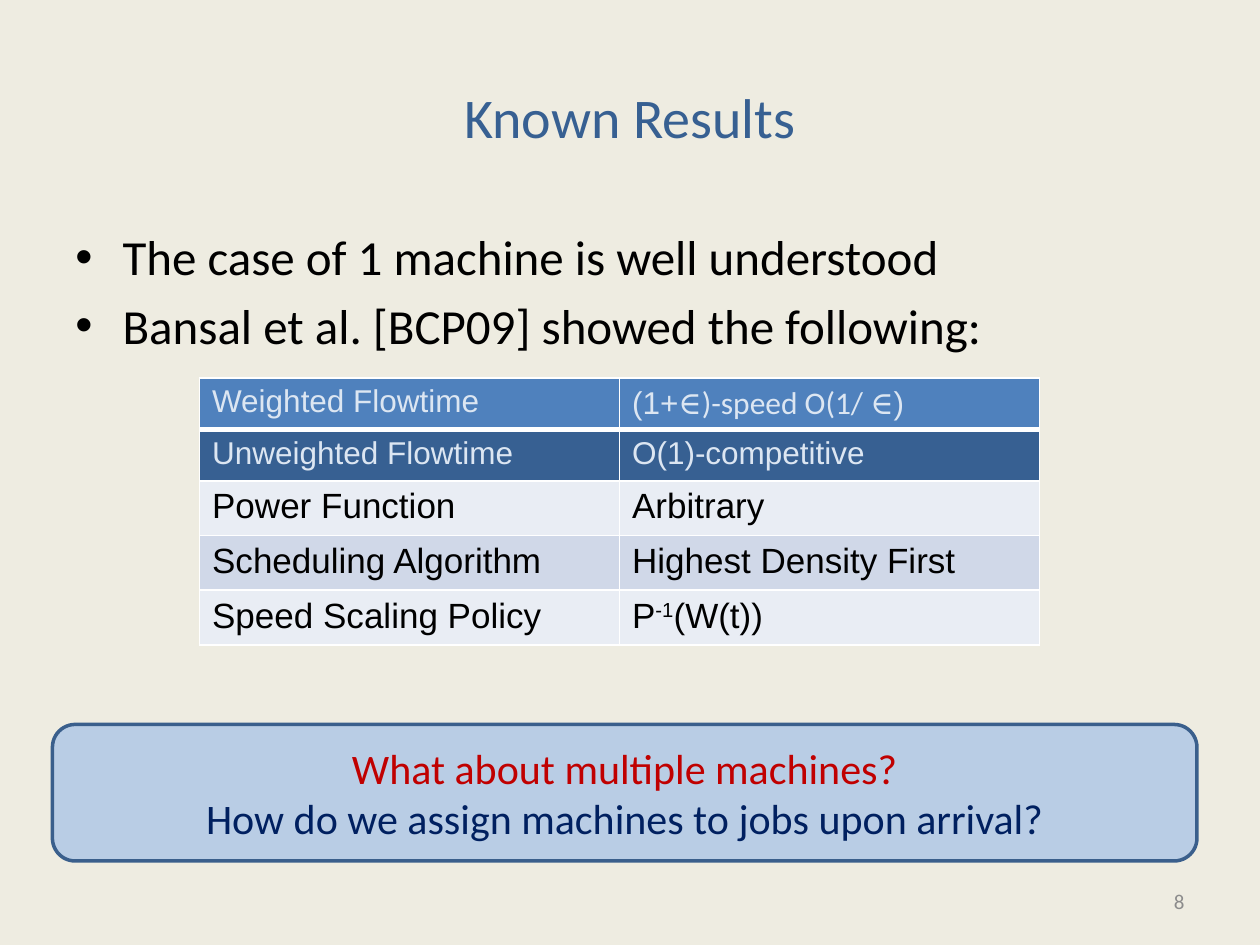
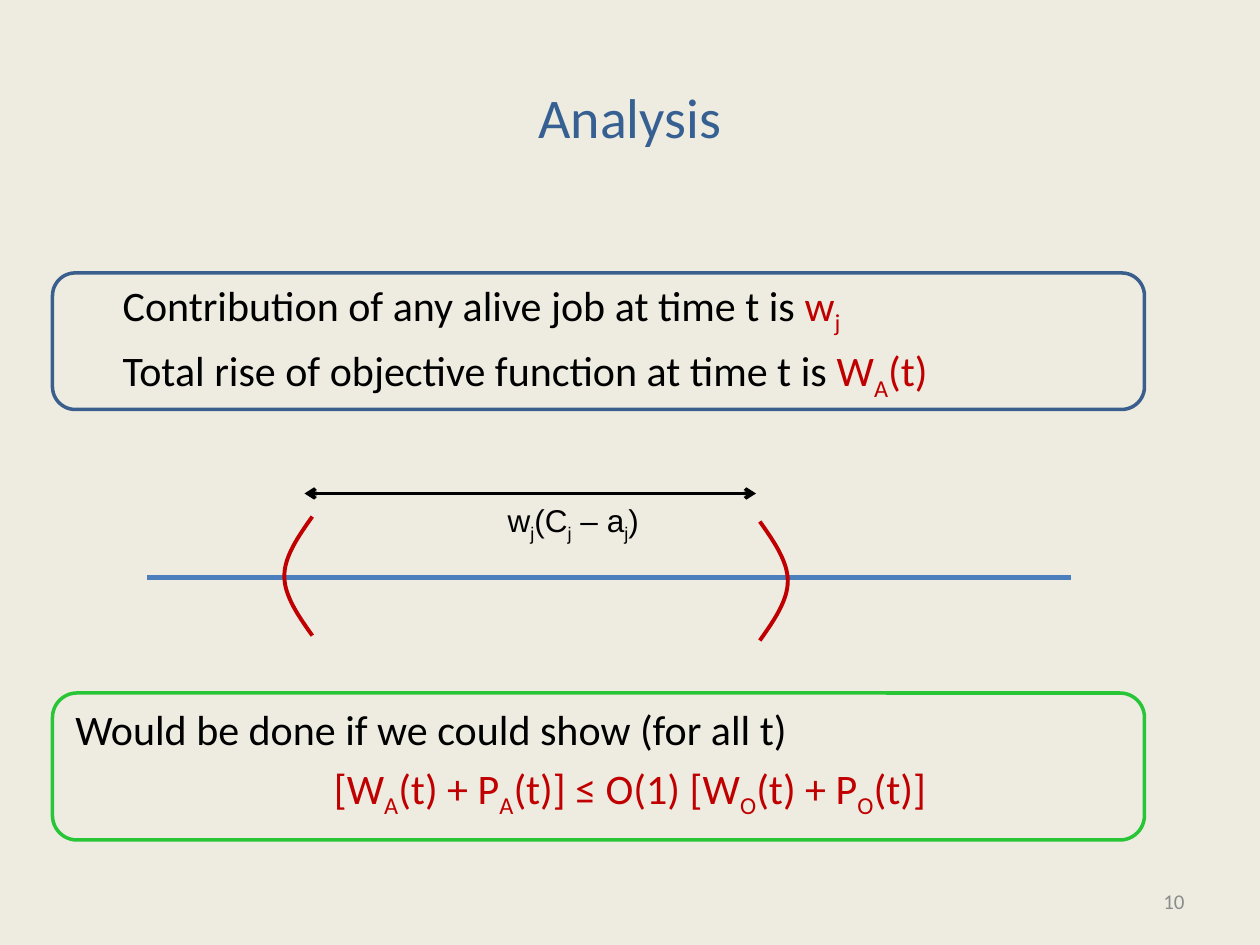
from lxml.etree import SubElement
from pptx import Presentation
from pptx.dml.color import RGBColor
from pptx.enum.shapes import MSO_CONNECTOR as Connector, MSO_SHAPE as Shape
from pptx.enum.text import MSO_ANCHOR as Anchor, PP_ALIGN as Align
from pptx.oxml import parse_xml
from pptx.oxml.ns import nsdecls, qn
from pptx.util import Pt

# Shared look
PAPER, TITLE, BLACK, RED, NAVY = "EEECE1", "376092", "000000", "C00000", "002060"
FRAME, GREEN, AXIS, GREY, WHITE = "3A5F8C", "28C637", "4B7EBC", "8C8C8C", "FFFFFF"
PANEL, PALE, HEADER = "B9CDE5", "DCE6F2", "4F81BD"
BODY_FONT, TABLE_FONT, MATH_FONT = "Calibri", "Arial", "Cambria"
LEFT, WIDTH = 36, 648
HANG = 27

# Content: a line is a list of (text, colour[, font]); text between bars is shifted
KNOWN_POINTS = [
    [("The case of 1 machine is well understood", BLACK)],
    [("Bansal et al. [BCP09] showed the following:", BLACK)],
]
RESULTS = [
    ("Weighted Flowtime", [("(1+", TABLE_FONT), ("∈", MATH_FONT),
                           (")-speed O(1/", BODY_FONT), (" ∈", MATH_FONT),
                           (")", TABLE_FONT)]),
    ("Unweighted Flowtime", "O(1)-competitive"),
    ("Power Function", "Arbitrary"),
    ("Scheduling Algorithm", "Highest Density First"),
    ("Speed Scaling Policy", "P|-1|(W(t))"),
]
ROW_STYLES = [(HEADER, PALE, 18), (TITLE, PALE, 18), ("E9EDF4", BLACK, 20),
              ("D0D8E8", BLACK, 20), ("E9EDF4", BLACK, 20)]
QUESTIONS = [
    [("What about multiple machines?", RED)],
    [("How do we assign machines to jobs upon arrival?", NAVY)],
]
CONTRIBUTIONS = [
    [("Contribution of any alive job at time t is ", BLACK), ("w|j|", RED)],
    [("Total rise of objective function at time t is ", BLACK), ("W|A|(t)", RED)],
]
GOAL = [
    [("Would be done if we could show (for all t)", BLACK)],
    [("[W|A|(t) + P|A|(t)] ≤ O(1) [W|O|(t) + P|O|(t)]", RED)],
]
JOB_COST = [[("w|j|(C|j| – a|j|)", BLACK, TABLE_FONT)]]


def rgb(code):
    return RGBColor.from_string(code)


def write_line(para, spans, size, shift=-25):
    for text, colour, *font in spans:
        for index, piece in enumerate(text.split("|")):
            if not piece:
                continue
            span = para.add_run()
            span.text = piece
            span.font.size = Pt(size)
            span.font.name = font[0] if font else BODY_FONT
            span.font.color.rgb = rgb(colour)
            if index % 2:
                span._r.get_or_add_rPr().set("baseline", str(shift * 1000))


def write_lines(frame, lines, size, align=Align.LEFT, gap=0):
    for index, spans in enumerate(lines):
        para = frame.add_paragraph() if index else frame.paragraphs[0]
        para.alignment = align
        if index:
            para.space_before = Pt(gap)
        write_line(para, spans, size)


def add_text(page, place, lines, size, align=Align.LEFT, anchor=Anchor.TOP,
             gap=0, wrap=True):
    frame = page.shapes.add_textbox(*map(Pt, place)).text_frame
    frame.word_wrap = wrap
    frame.vertical_anchor = anchor
    write_lines(frame, lines, size, align, gap)
    return frame


def indent(frame, first, bullet=None):
    for para in frame.paragraphs:
        props = para._p.get_or_add_pPr()
        props.set("marL", str(Pt(HANG)))
        props.set("indent", str(Pt(first)))
        if bullet:
            SubElement(props, qn("a:buFont")).set("typeface", "Arial")
            SubElement(props, qn("a:buChar")).set("char", bullet)


def add_frame(page, place, line, fill=None):
    box = page.shapes.add_shape(Shape.ROUNDED_RECTANGLE, *map(Pt, place))
    box.shadow.inherit = False
    if fill:
        box.fill.solid()
        box.fill.fore_color.rgb = rgb(fill)
    else:
        box.fill.background()
    box.line.color.rgb = rgb(line)
    box.line.width = Pt(2)
    return box


def add_line(page, x1, x2, y, colour, width, arrows=False):
    line = page.shapes.add_connector(Connector.STRAIGHT, Pt(x1), Pt(y), Pt(x2), Pt(y))
    line.line.color.rgb = rgb(colour)
    line.line.width = Pt(width)
    if arrows:
        for end in ("a:headEnd", "a:tailEnd"):
            SubElement(line.line._get_or_add_ln(), qn(end)).set("type", "arrow")
    SubElement(line._element.spPr, qn("a:effectLst"))


def add_bracket(page, x, top, depth, height=68, steps=16):
    """Draw an arc that starts and ends at x and bulges sideways by depth."""
    points = []
    for step in range(2 * steps + 1):
        t = 1 - abs(step / steps - 1)
        points.append((Pt(x + depth * (1.5 * t - 0.5 * t ** 3)),
                       Pt(top + height * step / (2 * steps))))
    builder = page.shapes.build_freeform(*points[0])
    builder.add_line_segments(points[1:], close=False)
    arc = builder.convert_to_shape()
    arc.shadow.inherit = False
    arc.fill.background()
    arc.line.color.rgb = rgb(RED)
    arc.line.width = Pt(2.25)


def add_borders(cell, bottom):
    props = cell._tc.get_or_add_tcPr()
    widths = {"lnL": 1, "lnR": 1, "lnT": 1, "lnB": bottom}
    for index, (side, width) in enumerate(widths.items()):
        props.insert(index, parse_xml(
            f'<a:{side} {nsdecls("a")} w="{Pt(width)}"><a:solidFill>'
            f'<a:srgbClr val="{WHITE}"/></a:solidFill></a:{side}>'))


def add_results(page):
    row_height = 29.4
    table = page.shapes.add_table(len(RESULTS), 2, Pt(114), Pt(216), Pt(480),
                                  Pt(row_height * len(RESULTS))).table
    table.first_row = table.horz_banding = False
    for r, (values, (fill, colour, size)) in enumerate(zip(RESULTS, ROW_STYLES)):
        table.rows[r].height = Pt(row_height)
        for c, value in enumerate(values):
            cell = table.cell(r, c)
            cell.fill.solid()
            cell.fill.fore_color.rgb = rgb(fill)
            add_borders(cell, 1 if r else 3)
            parts = [(value, TABLE_FONT)] if isinstance(value, str) else value
            spans = [(text, colour, font) for text, font in parts]
            write_line(cell.text_frame.paragraphs[0], spans, size, shift=30)


def add_page(deck, title, number):
    page = deck.slides.add_slide(deck.slide_layouts[6])
    page.background.fill.solid()
    page.background.fill.fore_color.rgb = rgb(PAPER)
    add_text(page, (LEFT, 21.6, WIDTH, 90), [[(title, TITLE)]], 32,
             Align.CENTER, Anchor.MIDDLE)
    add_text(page, (516, 500.5, 168, 28.75), [[(number, GREY)]], 12,
             Align.RIGHT, Anchor.MIDDLE)
    return page


def build_known_results(deck):
    page = add_page(deck, "Known Results", "8")
    points = add_text(page, (LEFT, 126, WIDTH, 84), KNOWN_POINTS, 28, gap=5.6)
    indent(points, -HANG, "•")
    add_results(page)
    panel = add_frame(page, (30, 414, 654, 78), FRAME, PANEL)
    panel.text_frame.word_wrap = True
    panel.text_frame.vertical_anchor = Anchor.MIDDLE
    write_lines(panel.text_frame, QUESTIONS, 24, Align.CENTER)


def build_analysis(deck):
    page = add_page(deck, "Analysis", "10")
    # Framed statements
    add_frame(page, (30, 156, 624, 78), FRAME)
    indent(add_text(page, (LEFT, 156, WIDTH, 78), CONTRIBUTIONS, 24, gap=4.8), 0)
    add_frame(page, (30, 396, 624, 84), GREEN)
    goal = add_text(page, (LEFT, 398.5, WIDTH, 78), GOAL, 24, gap=4.8)
    goal.paragraphs[1].alignment = Align.CENTER
    # Time line with the span of one job
    add_line(page, 84, 612, 330, AXIS, 3)
    add_bracket(page, 178.5, 295.2, -16)
    add_bracket(page, 434.2, 298, 16)
    add_line(page, 174, 432, 282, BLACK, 2, arrows=True)
    add_text(page, (283, 283, 91.5, 29), JOB_COST, 18, wrap=False)


def main():
    deck = Presentation()
    deck.slide_width, deck.slide_height = Pt(720), Pt(540)
    build_known_results(deck)
    build_analysis(deck)
    deck.save("out.pptx")


if __name__ == "__main__":
    main()
